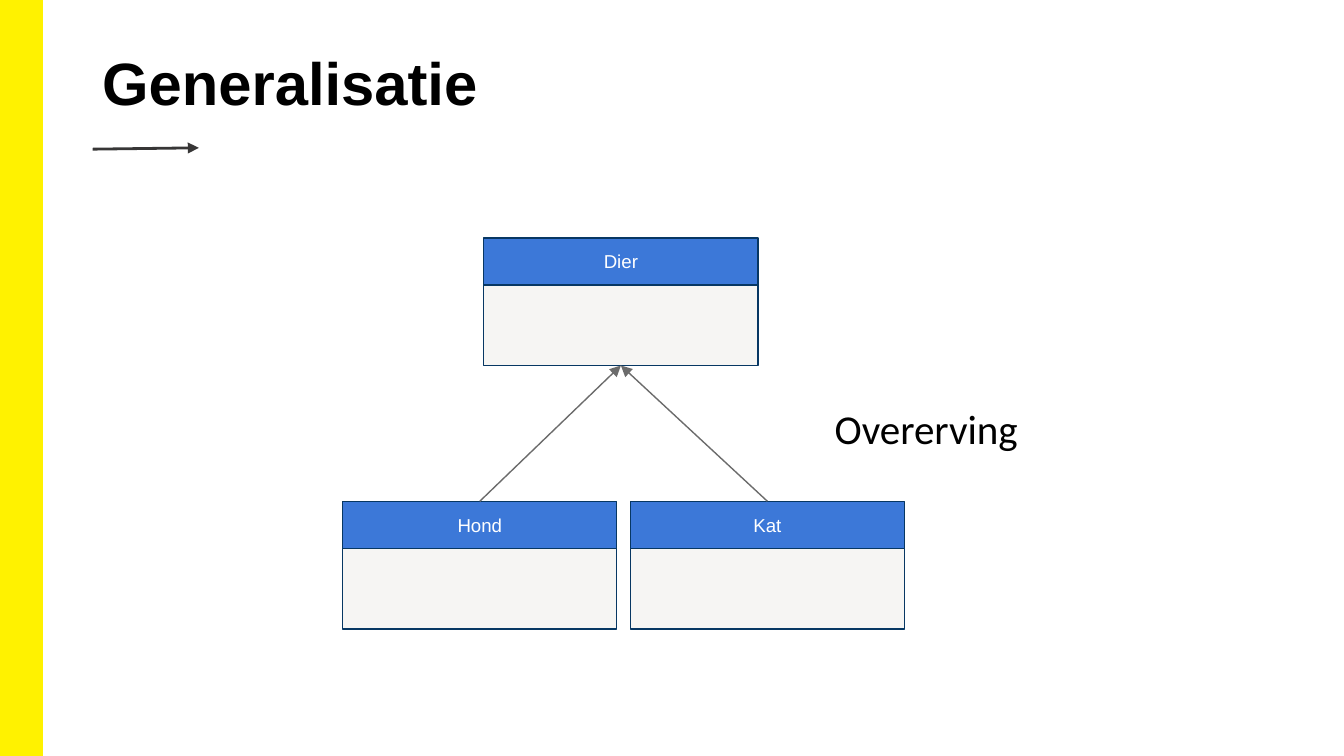
from dataclasses import dataclass

from lxml import etree
from pptx import Presentation
from pptx.dml.color import RGBColor
from pptx.enum.shapes import MSO_CONNECTOR, MSO_SHAPE
from pptx.enum.text import MSO_ANCHOR, PP_ALIGN
from pptx.oxml.ns import qn
from pptx.util import Inches, Pt

RECTANGLE = MSO_SHAPE.RECTANGLE
STRAIGHT = MSO_CONNECTOR.STRAIGHT
MIDDLE, TOP = MSO_ANCHOR.MIDDLE, MSO_ANCHOR.TOP
CENTER, LEFT = PP_ALIGN.CENTER, PP_ALIGN.LEFT

COLORS = {
    "accent": "FFF200",
    "header": "3C78D8",
    "body": "F6F5F3",
    "border": "073763",
    "inheritance": "6B6B6B",
    "underline": "373636",
    "text": "000000",
    "header_text": "FFFFFF",
}
SLIDE_W = 10
SLIDE_H = SLIDE_W * 9 / 16
CLASS_W, HEADER_H, BODY_H = 2.04, 0.35, 0.6


@dataclass(frozen=True)
class UmlClass:
    name: str
    left: float
    top: float

    @property
    def center(self) -> float:
        return self.left + CLASS_W / 2

    @property
    def bottom(self) -> float:
        return self.top + HEADER_H + BODY_H


@dataclass(frozen=True)
class TextStyle:
    size: float
    color: str
    font: str = "Arial"
    bold: bool = False
    align: PP_ALIGN = LEFT
    anchor: MSO_ANCHOR = TOP
    insets: tuple[float, float, float, float] = (0.07, 0.04, 0.07, 0.04)


TITLE = TextStyle(32, "text", bold=True)
CAPTION = TextStyle(22, "text", font="Calibri")
CLASS_NAME = TextStyle(10, "header_text", align=CENTER, anchor=MIDDLE,
                       insets=(0.1, 0.1, 0.1, 0.1))

PARENT = UmlClass("Dier", 3.6, 1.77)
CHILDREN = [UmlClass("Hond", 2.55, 3.73), UmlClass("Kat", 4.69, 3.73)]


def rgb(color: str) -> RGBColor:
    return RGBColor.from_string(COLORS[color])


def write(shape, text: str, style: TextStyle) -> None:
    frame = shape.text_frame
    left, top, right, bottom = map(Inches, style.insets)
    frame_format = {
        "word_wrap": True,
        "vertical_anchor": style.anchor,
        "margin_left": left,
        "margin_top": top,
        "margin_right": right,
        "margin_bottom": bottom,
    }
    for attribute, value in frame_format.items():
        setattr(frame, attribute, value)
    paragraph = frame.paragraphs[0]
    paragraph.alignment = style.align
    run = paragraph.add_run()
    run.text = text
    font_format = {"name": style.font, "size": Pt(style.size), "bold": style.bold}
    for attribute, value in font_format.items():
        setattr(run.font, attribute, value)
    run.font.color.rgb = rgb(style.color)


def add_text(shapes, text: str, style: TextStyle, *box: float) -> None:
    write(shapes.add_textbox(*map(Inches, box)), text, style)


def add_box(shapes, fill: str, border: str, weight: float, *box: float):
    rectangle = shapes.add_shape(RECTANGLE, *map(Inches, box))
    rectangle.shadow.inherit = False
    rectangle.fill.solid()
    rectangle.fill.fore_color.rgb = rgb(fill)
    rectangle.line.color.rgb = rgb(border)
    rectangle.line.width = Pt(weight)
    return rectangle


def add_class(shapes, uml: UmlClass) -> None:
    """Group a named header with the empty compartment below it."""
    members = shapes.add_group_shape().shapes
    add_box(members, "body", "border", 0.75,
            uml.left, uml.top + HEADER_H, CLASS_W, BODY_H)
    header = add_box(members, "header", "border", 0.75,
                     uml.left, uml.top, CLASS_W, HEADER_H)
    write(header, uml.name, CLASS_NAME)


def add_arrow(shapes, color: str, weight: float, *ends: float) -> None:
    """Draw a line from (x1, y1) to (x2, y2) with its head at the second point."""
    arrow = shapes.add_connector(STRAIGHT, *map(Inches, ends))
    arrow.line.color.rgb = rgb(color)
    arrow.line.width = Pt(weight)
    line = arrow._element.spPr.find(qn("a:ln"))
    etree.SubElement(line, qn("a:tailEnd"), type="triangle")
    etree.SubElement(arrow._element.spPr, qn("a:effectLst"))


def main() -> None:
    presentation = Presentation()
    presentation.slide_width = Inches(SLIDE_W)
    presentation.slide_height = Inches(SLIDE_H)
    shapes = presentation.slides.add_slide(presentation.slide_layouts[6]).shapes

    add_box(shapes, "accent", "accent", 1, 0, 0, 0.31, SLIDE_H)
    add_text(shapes, "Generalisatie", TITLE, 0.69, 0.3, 8.62, 0.8)
    for uml in [PARENT, *CHILDREN]:
        add_class(shapes, uml)
    for child in CHILDREN:
        add_arrow(shapes, "inheritance", 0.75,
                  child.center, child.top, PARENT.center, PARENT.bottom)
    add_arrow(shapes, "underline", 1.5, 0.69, 1.11, 1.48, 1.1)
    add_text(shapes, "Overerving", CAPTION, 6.14, 2.96, 2.71, 0.53)

    presentation.save("out.pptx")


if __name__ == "__main__":
    main()
